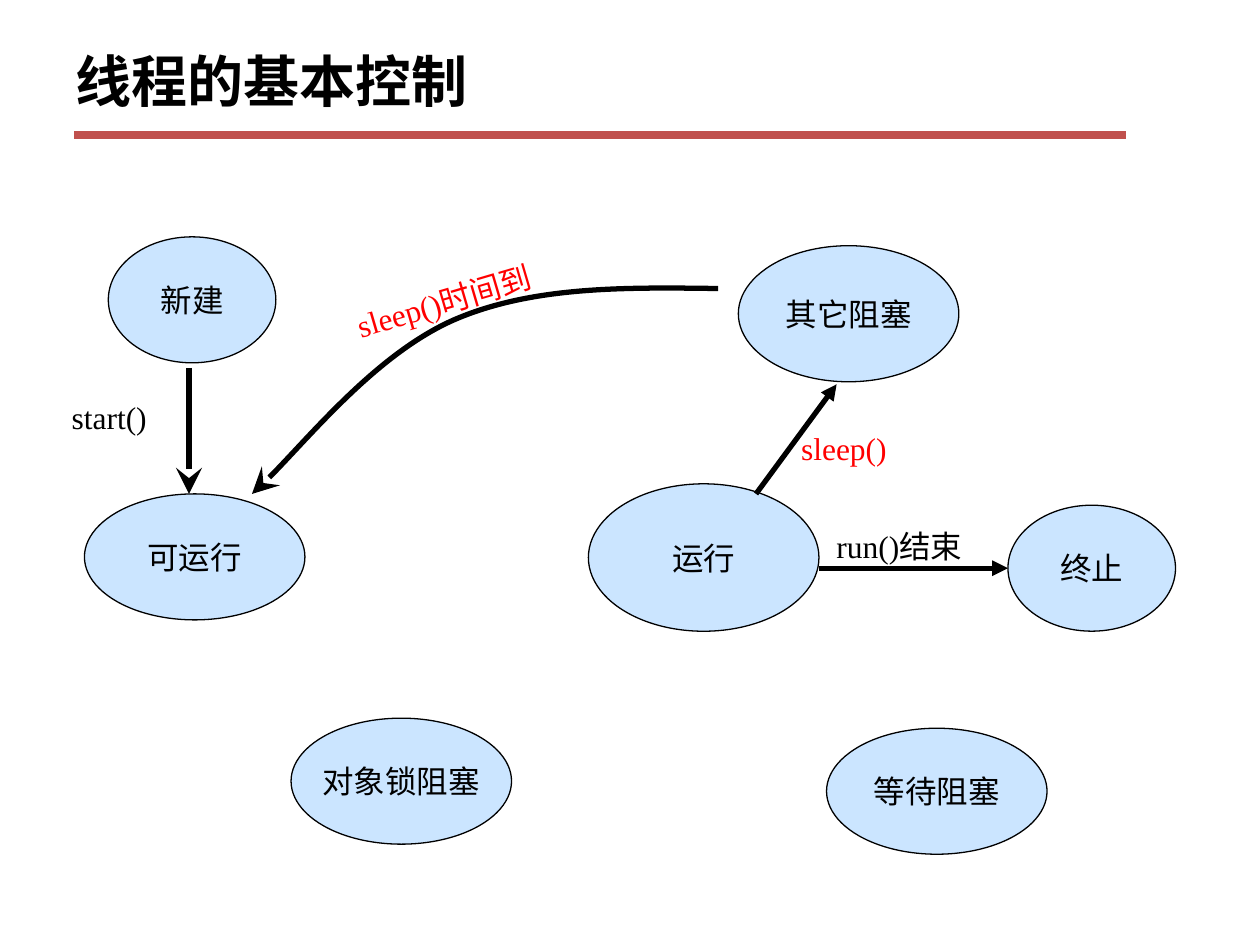
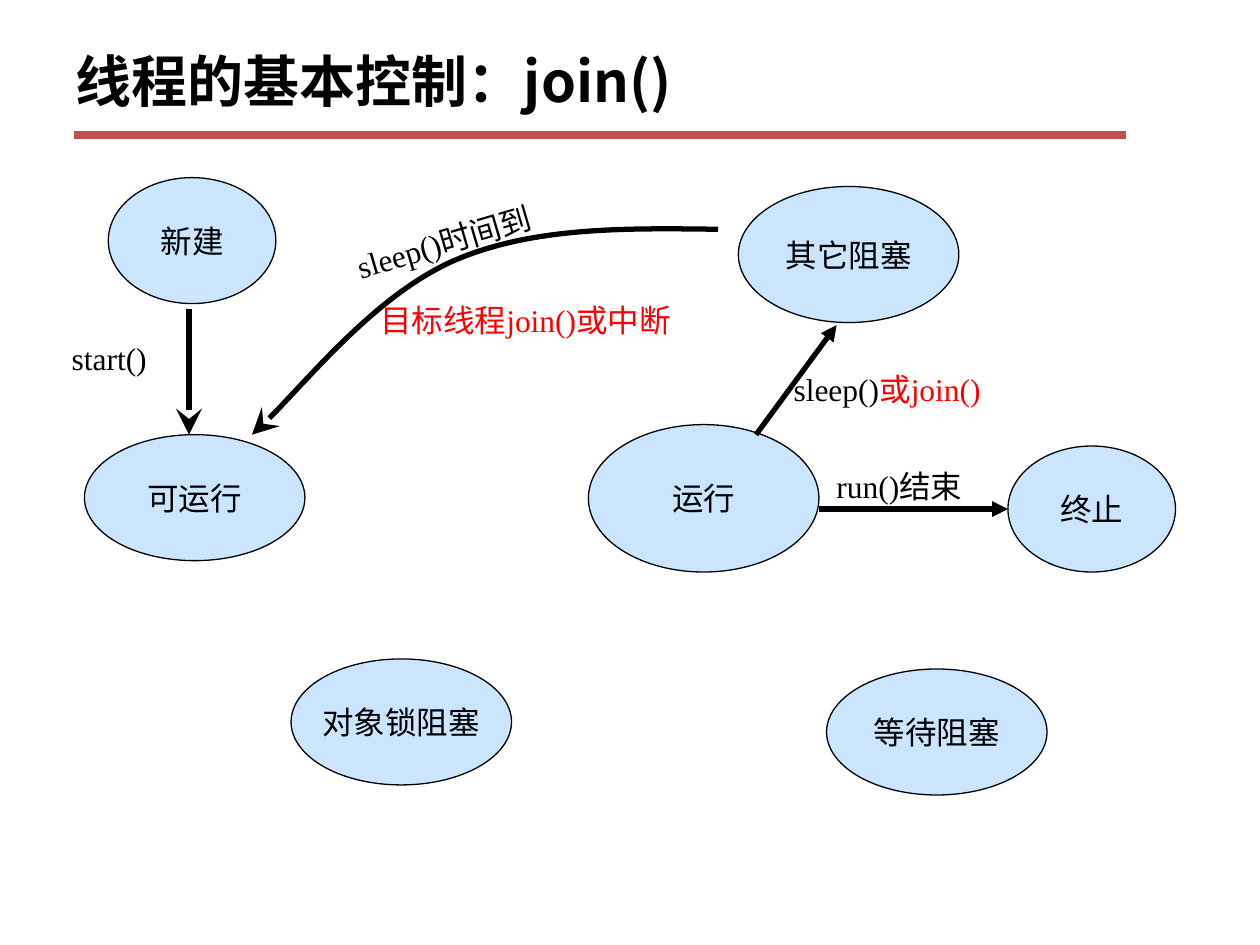
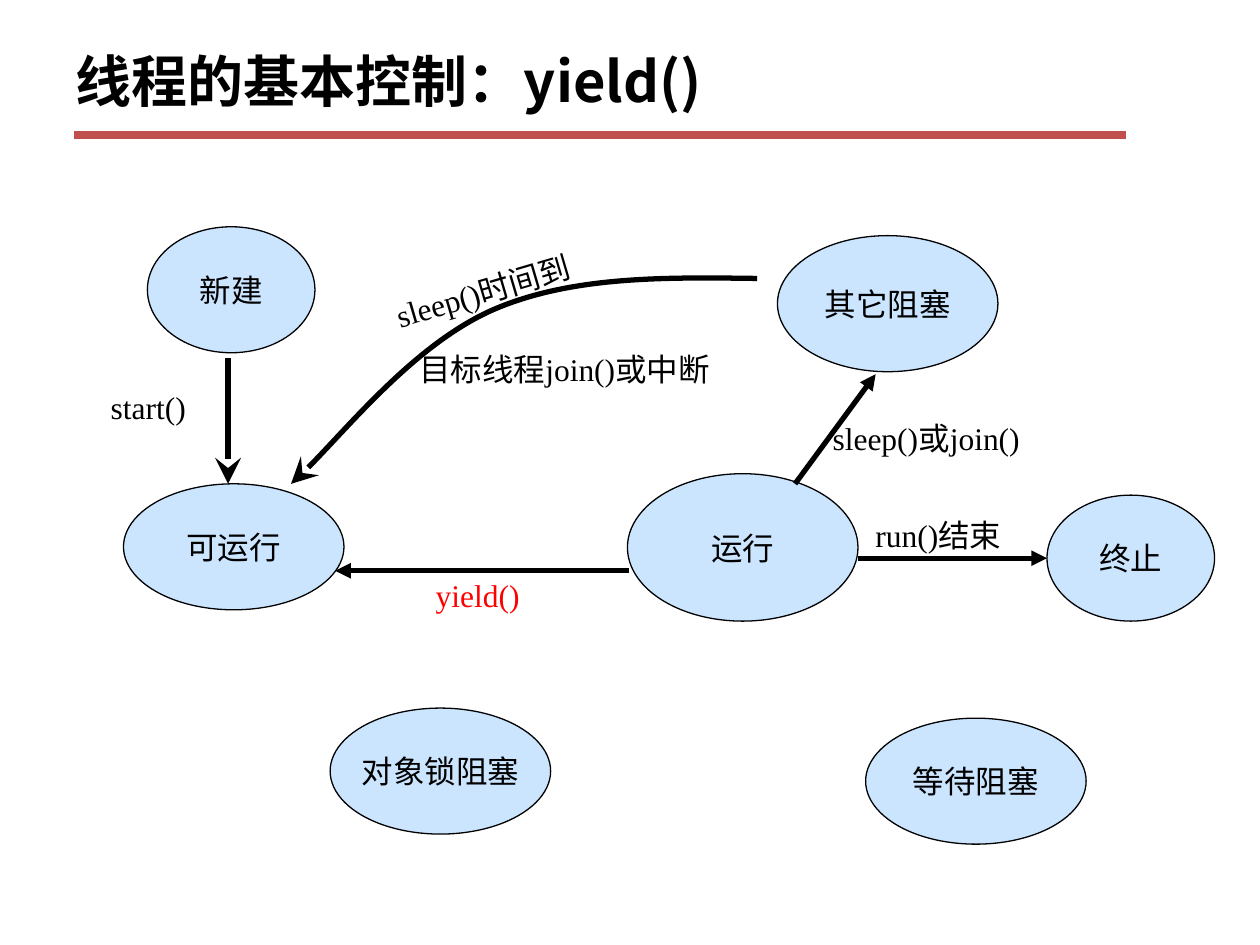
from pptx import Presentation
from pptx.dml.color import RGBColor
from pptx.enum.shapes import MSO_CONNECTOR, MSO_SHAPE
from pptx.enum.text import MSO_ANCHOR, PP_ALIGN
from pptx.oxml.ns import qn
from pptx.oxml.xmlchemy import OxmlElement
from pptx.util import Inches, Pt

COLORS = {"text": "000000", "new": "FF0000", "state": "99CCFF", "rule": "C0504D"}
TITLE_FONT = "Noto Sans CJK SC"
BODY_FONT = "Times New Roman"

# State name: left, top, width, height
STATES = {
    "可运行": (0.67, 3.92, 1.75, 1),
    "运行": (4.67, 3.84, 1.83, 1.17),
    "其它阻塞": (5.86, 1.95, 1.75, 1.08),
    "终止": (8, 4.01, 1.33, 1),
    "新建": (0.86, 1.88, 1.33, 1),
    "对象锁阻塞": (2.31, 5.7, 1.75, 1),
    "等待阻塞": (6.56, 5.78, 1.75, 1),
}
# Start point followed by two Bezier segments
WAKE_CURVE = [(5.7, 2.29), (4.96, 2.28), (4.22, 2.27), (3.6, 2.54),
              (2.99, 2.81), (2.27, 3.69), (2, 3.92)]


def color(name):
    return RGBColor.from_string(COLORS[name])


def style_paragraph(paragraph, size, font_name, bold=False):
    font = paragraph.font
    font.size, font.name, font.bold = Pt(size), font_name, bold
    font.color.rgb = color("text")


def style_arrow(line, head, head_size="med"):
    line.color.rgb = color("text")
    line.width = Pt(3)
    tail_end = OxmlElement("a:tailEnd")
    tail_end.set("type", head)
    tail_end.set("w", head_size)
    tail_end.set("len", head_size)
    line._get_or_add_ln().append(tail_end)


def add_line(page, start, end):
    line = page.shapes.add_connector(
        MSO_CONNECTOR.STRAIGHT, *[Inches(value) for value in (*start, *end)])
    line._element.spPr.append(OxmlElement("a:effectLst"))
    return line


def add_title(page, text):
    rule = add_line(page, (0.59, 1.07), (8.94, 1.07))
    rule.line.color.rgb = color("rule")
    rule.line.width = Pt(4.5)
    box = page.shapes.add_textbox(Inches(0.5), Inches(0.2), Inches(9), Inches(0.87))
    frame = box.text_frame
    frame.word_wrap = True
    frame.vertical_anchor = MSO_ANCHOR.MIDDLE
    frame.text = text
    style_paragraph(frame.paragraphs[0], 32, TITLE_FONT, bold=True)


class Diagram:
    """Thread states drawn on one page, all moved by the same offset."""

    def __init__(self, page, shift):
        self.page = page
        self.shift = shift

    def place(self, x, y):
        return x + self.shift[0], y + self.shift[1]

    def state(self, name, left, top, width, height):
        left, top = self.place(left, top)
        oval = self.page.shapes.add_shape(
            MSO_SHAPE.OVAL, Inches(left), Inches(top), Inches(width), Inches(height))
        oval.shadow.inherit = False
        oval.fill.solid()
        oval.fill.fore_color.rgb = color("state")
        alpha = OxmlElement("a:alpha")
        alpha.set("val", "50000")
        next(oval._element.spPr.iter(qn("a:srgbClr"))).append(alpha)
        oval.line.color.rgb = color("text")
        oval.line.width = Pt(0.75)
        frame = oval.text_frame
        frame.word_wrap = False
        frame.vertical_anchor = MSO_ANCHOR.MIDDLE
        frame.text = name
        paragraph = frame.paragraphs[0]
        paragraph.alignment = PP_ALIGN.CENTER
        style_paragraph(paragraph, 18, BODY_FONT)

    def arrow(self, start, end, head="triangle", head_size="med"):
        line = add_line(self.page, self.place(*start), self.place(*end))
        style_arrow(line.line, head, head_size)

    def label(self, left, top, width, *spans, rotation=0):
        """Each span is a pair of text and colour name."""
        left, top = self.place(left, top)
        box = self.page.shapes.add_textbox(
            Inches(left), Inches(top), Inches(width), Inches(0.4))
        box.rotation = rotation
        frame = box.text_frame
        frame.word_wrap = True
        paragraph = frame.paragraphs[0]
        style_paragraph(paragraph, 18, BODY_FONT)
        for text, color_name in spans:
            span = paragraph.add_run()
            span.text = text
            span.font.color.rgb = color(color_name)

    def curve(self, points):
        start, *rest = [tuple(Inches(value) for value in self.place(*point))
                        for point in points]
        builder = self.page.shapes.build_freeform(*start)
        builder.add_line_segments(rest, close=False)
        shape = builder.convert_to_shape()
        # Turn every three line points into one Bezier segment
        segments = list(shape._element.iter(qn("a:lnTo")))
        for index in range(0, len(segments), 3):
            bezier = OxmlElement("a:cubicBezTo")
            segments[index].addprevious(bezier)
            for segment in segments[index:index + 3]:
                bezier.append(segment[0])
                segment.getparent().remove(segment)
        shape.shadow.inherit = False
        shape.fill.background()
        style_arrow(shape.line, "stealth", "lg")


def add_thread_page(deck, title, shift, sleep_color, block_label):
    page = deck.slides.add_slide(deck.slide_layouts[6])
    add_title(page, title)
    diagram = Diagram(page, shift)
    for name, area in STATES.items():
        diagram.state(name, *area)
    # Transitions
    diagram.arrow((1.5, 2.92), (1.5, 3.92), "stealth", "lg")
    diagram.label(0.47, 3.11, 0.95, ("start()", "text"))
    diagram.arrow((6, 3.92), (6.64, 3.05))
    diagram.label(*block_label)
    diagram.arrow((6.5, 4.51), (8, 4.51))
    diagram.label(6.54, 4.13, 1.4, ("run()结束", "text"))
    diagram.curve(WAKE_CURVE)
    diagram.label(2.71, 2.18, 1.69, ("sleep()时间到", sleep_color), rotation=343.6)
    return diagram


def main():
    deck = Presentation()
    deck.slide_width, deck.slide_height = Inches(10), Inches(7.5)

    # sleep()
    add_thread_page(deck, "线程的基本控制", (0, 0), "new",
                    (6.26, 3.36, 1, ("sleep()", "new")))

    # join()
    joining = add_thread_page(deck, "线程的基本控制：join()", (0, -0.47), "text",
                              (6.2, 3.36, 2, ("sleep()", "text"), ("或join()", "new")))
    joining.label(2.92, 2.81, 2.8, ("目标线程join()或中断", "new"))

    # yield()
    yielding = add_thread_page(deck, "线程的基本控制：yield()", (0.31, -0.08), "text",
                               (6.2, 3.36, 2, ("sleep()或join()", "text")))
    yielding.label(2.92, 2.81, 2.8, ("目标线程join()或中断", "text"))
    yielding.arrow((4.68, 4.61), (2.35, 4.61))
    yielding.label(3.05, 4.6, 1, ("yield()", "new"))

    deck.save("out.pptx")


if __name__ == "__main__":
    main()
